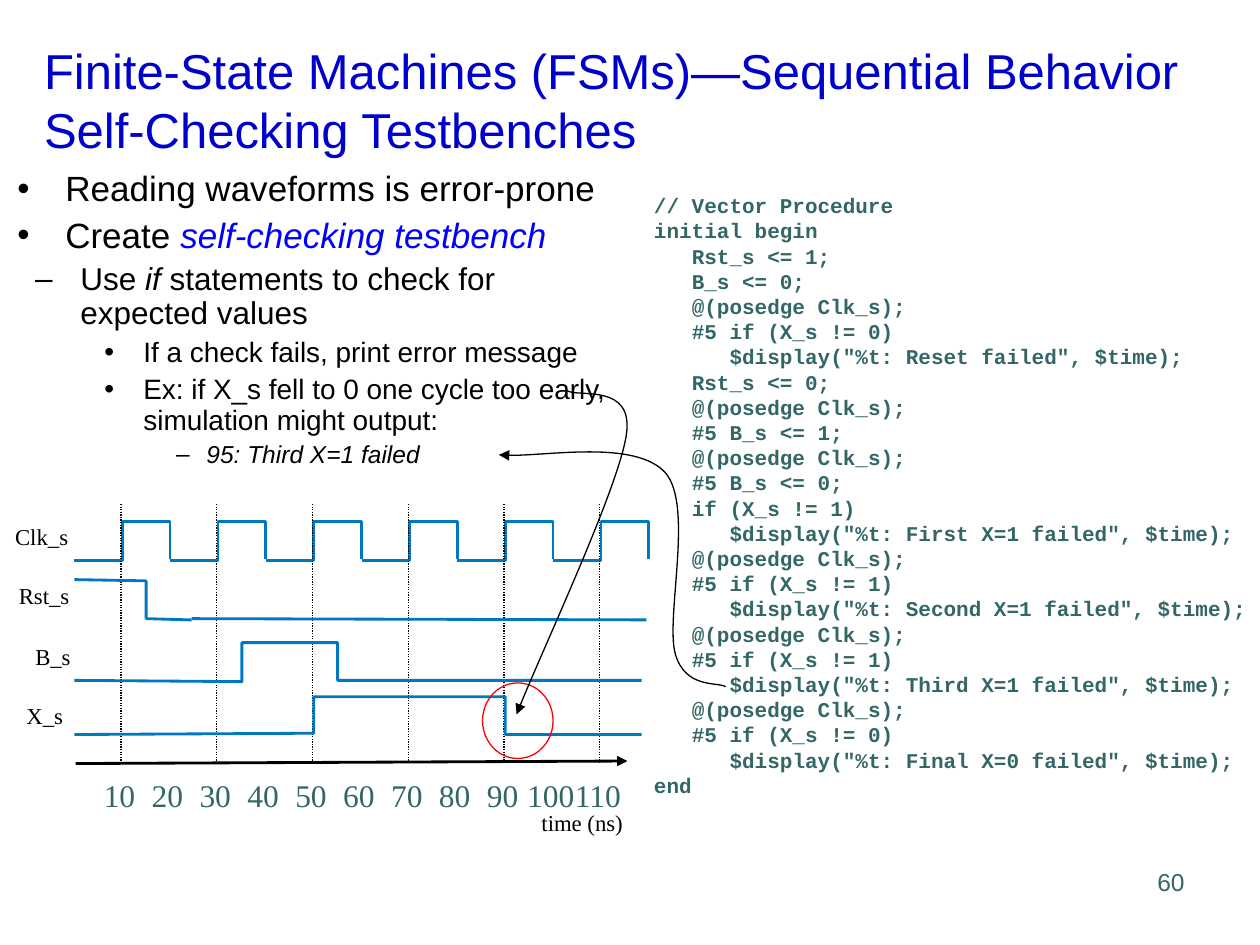
from dataclasses import dataclass

from lxml import etree
from pptx import Presentation
from pptx.dml.color import RGBColor
from pptx.enum.dml import MSO_LINE
from pptx.enum.shapes import MSO_CONNECTOR, MSO_SHAPE
from pptx.enum.text import MSO_ANCHOR, MSO_AUTO_SIZE, PP_ALIGN
from pptx.oxml.ns import qn
from pptx.util import Inches, Pt

LEFT, CENTER, RIGHT = PP_ALIGN.LEFT, PP_ALIGN.CENTER, PP_ALIGN.RIGHT
RECTANGLE, OVAL = MSO_SHAPE.RECTANGLE, MSO_SHAPE.OVAL
TOP, MIDDLE = MSO_ANCHOR.TOP, MSO_ANCHOR.MIDDLE
DOTTED = MSO_LINE.ROUND_DOT
COLUMNS, ROWS = 100, 75


@dataclass(frozen=True)
class Theme:
    heading: str = "0000CC"
    accent: str = "0000FF"
    ink: str = "000000"
    muted: str = "336666"
    wave: str = "0078C1"
    alert: str = "FF0000"
    paper: str = "FFFFFF"
    sans: str = "Arial"
    serif: str = "Times New Roman"
    mono: str = "Courier New"
    title_size: int = 28
    bullet_sizes: tuple = (20, 18, 16, 14)
    code_size: int = 12
    label_size: int = 13
    tick_size: int = 18
    number_size: int = 14
    thin: float = 0.75
    thick: float = 1.62


# Bullet levels: mark, left margin and hanging indent in columns, space before
LEVELS = (("•", 3.8, 3.8, 5), ("–", 5, 3.6, 4.5), ("•", 10, 3.1, 4), ("–", 15, 2.4, 3.5))

# Each bullet: level, then its runs as (text, italic, accented)
BULLETS = [
    (0, [("Reading waveforms is error-prone", False, False)]),
    (0, [("Create ", False, False), ("self-checking testbench", True, True)]),
    (1, [("Use ", False, False), ("if ", True, False),
         ("statements to check for expected values", False, False)]),
    (2, [("If a check fails, print error message", False, False)]),
    (2, [("Ex: if X_s fell to 0 one cycle too early, simulation might output:", False, False)]),
    (3, [("95: Third X=1 failed", True, False)]),
]

CODE = """\
 // Vector Procedure
 initial begin
  Rst_s <= 1;
  B_s <= 0;
  @(posedge Clk_s);
  #5 if (X_s != 0)
   $display("%t: Reset failed", $time);
  Rst_s <= 0;
  @(posedge Clk_s);
  #5 B_s <= 1;
  @(posedge Clk_s);
  #5 B_s <= 0;
  if (X_s != 1)
   $display("%t: First X=1 failed", $time);
  @(posedge Clk_s);
  #5 if (X_s != 1)
   $display("%t: Second X=1 failed", $time);
  @(posedge Clk_s);
  #5 if (X_s != 1)
   $display("%t: Third X=1 failed", $time);
  @(posedge Clk_s);
  #5 if (X_s != 0)
   $display("%t: Final X=0 failed", $time);
 end"""
CODE_STEP = 3  # columns per nesting level

# Signal labels: name, left, top, width
SIGNALS = [("Clk_s", 1.2, 41.5, 4.2), ("Rst_s", 1.5, 46.2, 4),
           ("B_s", 2.8, 51, 2.8), ("X_s", 2.1, 55.7, 2.9)]

# Waveforms: points as (nanoseconds, row)
PERIOD, CLOCK_LOW, CLOCK_HIGH = 20, 44.5, 41.4
WAVES = [
    [(0, 46), (15, 46.1), (15, 49.1), (24.5, 49.2)],
    [(24.5, 49.1), (119.5, 49.2)],
    [(0, 54), (35, 54.1), (35, 51), (55, 51), (55, 54), (118.5, 54)],
    [(0, 58.3), (50, 58.2), (50, 55.3), (90, 55.3), (90, 58.3), (118.5, 58.3)],
]

# Curved arrows: a start followed by three Bezier points per segment
CODE_TO_OUTPUT = [(57.6, 54.5), (57, 54.1), (54.4, 54.7), (53.6, 51.9), (52.8, 49),
                  (55.1, 40.1), (52.8, 37.5), (50.4, 34.9), (42.3, 36.4), (39.6, 36.1)]
EXAMPLE_TO_WAVE = [(45, 31), (45.8, 31.6), (50.4, 30.3), (49.7, 34.6),
                   (49, 38.9), (42.8, 52.1), (41, 56.7)]


def column_at(ns):
    """Column of a moment on the time axis."""
    return 5.9 + 0.38 * ns


class SlideBuilder:
    def __init__(self, prs, theme):
        self.theme = theme
        self.column, self.row = prs.slide_width / COLUMNS, prs.slide_height / ROWS
        self.slide = prs.slides.add_slide(prs.slide_layouts[5])
        self.shapes = self.slide.shapes

    def point(self, column, row):
        return round(column * self.column), round(row * self.row)

    def box(self, left, top, width, height):
        return *self.point(left, top), *self.point(width, height)

    def style(self, paragraph, size, color, font, align=LEFT, bold=False):
        paragraph.alignment = align
        for run in paragraph.runs:
            run.font.size, run.font.name, run.font.bold = Pt(size), font, bold
            run.font.color.rgb = RGBColor.from_string(color)

    def indent(self, paragraph, margin, hanging=0):
        properties = paragraph._p.get_or_add_pPr()
        properties.set("marL", str(round(margin * self.column)))
        properties.set("indent", str(round(-hanging * self.column)))
        return properties

    def stroke(self, line, color, width, arrow=False):
        line.color.rgb = RGBColor.from_string(color)
        line.width = Pt(width)
        if arrow:
            etree.SubElement(line._get_or_add_ln(), qn("a:tailEnd"), type="triangle")

    def frame(self, shape, padded=True, wrap=True, anchor=TOP):
        frame = shape.text_frame
        frame.auto_size, frame.word_wrap, frame.vertical_anchor = MSO_AUTO_SIZE.NONE, wrap, anchor
        frame.margin_left = frame.margin_right = Inches(0.1 if padded else 0)
        frame.margin_top = frame.margin_bottom = Inches(0.05 if padded else 0)
        return frame

    def title(self, text, *box):
        heading = self.shapes.title
        heading.left, heading.top, heading.width, heading.height = self.box(*box)
        paragraph = self.frame(heading, anchor=MIDDLE).paragraphs[0]
        paragraph.text = text
        self.style(paragraph, self.theme.title_size, self.theme.heading, self.theme.sans)

    def label(self, text, box, size, color, font, align=LEFT, padded=False, wrap=False):
        frame = self.frame(self.shapes.add_textbox(*self.box(*box)), padded, wrap)
        frame.text = text
        self.style(frame.paragraphs[0], size, color, font, align)
        return frame.paragraphs[0]

    def bullets(self, items, *box):
        frame = self.frame(self.shapes.add_textbox(*self.box(*box)))
        for number, (level, runs) in enumerate(items):
            paragraph = frame.add_paragraph() if number else frame.paragraphs[0]
            mark, margin, hanging, before = LEVELS[level]
            paragraph.level, paragraph.line_spacing = level, 0.9
            paragraph.space_before = Pt(before)
            for text, _, _ in runs:
                paragraph.add_run().text = text
            self.style(paragraph, self.theme.bullet_sizes[level], self.theme.ink, self.theme.sans)
            for run, (_, italic, accented) in zip(paragraph.runs, runs):
                run.font.italic = italic
                if accented:
                    run.font.color.rgb = RGBColor.from_string(self.theme.accent)
            properties = self.indent(paragraph, margin, hanging)
            color = etree.SubElement(properties, qn("a:buClr"))
            etree.SubElement(color, qn("a:srgbClr"), val=self.theme.ink)
            etree.SubElement(properties, qn("a:buFont"), typeface=self.theme.sans)
            etree.SubElement(properties, qn("a:buChar"), char=mark)

    def code(self, source, *box):
        panel = self.shapes.add_shape(RECTANGLE, *self.box(*box))
        panel.shadow.inherit = False
        panel.fill.solid()
        panel.fill.fore_color.rgb = RGBColor.from_string(self.theme.paper)
        panel.line.fill.background()
        frame = self.frame(panel, padded=False)
        for number, line in enumerate(source.splitlines()):
            paragraph = frame.add_paragraph() if number else frame.paragraphs[0]
            paragraph.text = line.lstrip()
            depth = len(line) - len(paragraph.text)
            self.style(paragraph, self.theme.code_size, self.theme.muted, self.theme.mono, bold=True)
            self.indent(paragraph, depth * CODE_STEP)

    def line(self, start, end, width, dash=None, arrow=False):
        rule = self.shapes.add_connector(MSO_CONNECTOR.STRAIGHT, *self.point(*start), *self.point(*end))
        self.stroke(rule.line, self.theme.ink, width, arrow)
        if dash:
            rule.line.dash_style = dash
        etree.SubElement(rule._element.spPr, qn("a:effectLst"))

    def outline(self, points, color, width, arrow=False):
        start, *rest = [self.point(*p) for p in points]
        builder = self.shapes.build_freeform(*start)
        builder.add_line_segments(rest, close=False)
        shape = builder.convert_to_shape()
        shape.shadow.inherit = False
        shape.fill.background()
        self.stroke(shape.line, color, width, arrow)
        return shape

    def wave(self, points):
        self.outline([(column_at(ns), row) for ns, row in points], self.theme.wave, self.theme.thick)

    def curved_arrow(self, points):
        shape = self.outline(points, self.theme.ink, self.theme.thin, arrow=True)
        segments = list(shape._element.iter(qn("a:lnTo")))
        track = segments[0].getparent()
        for first in range(0, len(segments), 3):
            curve = etree.SubElement(track, qn("a:cubicBezTo"))
            for segment in segments[first:first + 3]:
                curve.append(segment[0])
                track.remove(segment)

    def ring(self, *box):
        circle = self.shapes.add_shape(OVAL, *self.box(*box))
        circle.shadow.inherit = False
        circle.fill.background()
        self.stroke(circle.line, self.theme.alert, self.theme.thin)


def main():
    prs = Presentation()
    prs.slide_width, prs.slide_height = Inches(10), Inches(7.5)
    theme = Theme()
    page = SlideBuilder(prs, theme)

    # Heading and code listing
    page.title("Finite-State Machines (FSMs)—Sequential Behavior\nSelf-Checking Testbenches",
               2.5, 3.3, 95.3, 9.2)
    page.code(CODE, 48.9, 15.3, 50.5, 48)

    # Timing diagram: signals, clock edges and time axis
    for name, left, top, width in SIGNALS:
        page.label(name, (left, top, width, 2.2), theme.label_size, theme.ink, theme.serif, RIGHT)
    for start in range(0, 6 * PERIOD, PERIOD):
        rise, fall = start + PERIOD / 2, start + PERIOD
        page.wave([(start, CLOCK_LOW), (rise, CLOCK_LOW), (rise, CLOCK_HIGH),
                   (fall, CLOCK_HIGH), (fall, CLOCK_LOW - 0.1)])
        edge = column_at(rise) - 0.1
        page.line((edge, 40), (edge, 60.5), theme.thin, dash=DOTTED)
    for points in WAVES:
        page.wave(points)
    page.line((6, 60.6), (49.8, 60.4), theme.thick, arrow=True)
    for ns in range(10, 120, 10):
        width = 4.5 if ns < 100 else 5.7
        page.label(str(ns), (column_at(ns) - 0.2 - width / 2, 61.1, width, 4),
                   theme.tick_size, theme.muted, theme.serif, padded=True)
    page.label("time (ns)", (40.5, 64.2, 11.4, 2.2), theme.label_size, theme.ink,
               theme.serif, CENTER, wrap=True)

    # Main points
    page.bullets(BULLETS, 0.4, 13.1, 50.4, 25.8)

    # Callouts linking text, code and waveform
    page.curved_arrow(CODE_TO_OUTPUT)
    page.ring(38.3, 54.2, 5.6, 6)
    page.curved_arrow(EXAMPLE_TO_WAVE)

    # Page number
    number = page.label("60", (74.2, 68.3, 20.8, 5), theme.number_size, theme.muted,
                        theme.sans, RIGHT, padded=True, wrap=True)
    number.space_before = Pt(8.8)

    prs.save("out.pptx")


if __name__ == "__main__":
    main()
